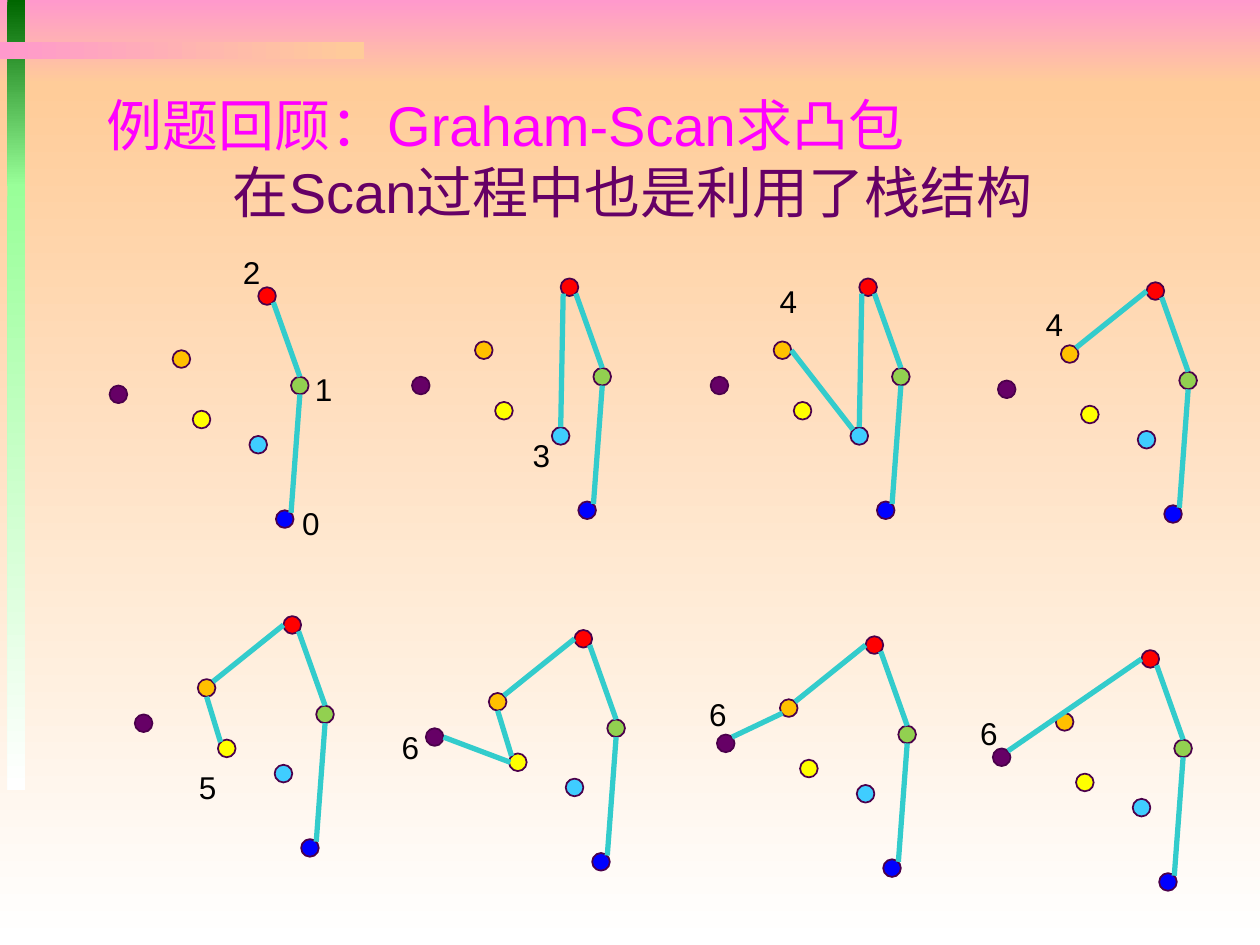
from lxml import etree
from pptx import Presentation
from pptx import util as u
from pptx.dml.color import RGBColor
from pptx.enum import shapes, text
from pptx.oxml.ns import qn

COLORS = {
    "pink": "FF99CC", "peach": "FFCC99", "white": "FFFFFF",
    "forest": "006600", "mint": "99FF99", "magenta": "FF00FF",
    "red": "FF0000", "green": "92D050", "purple": "660066",
    "cyan": "3FCDFF", "blue": "0000FF", "yellow": "FFFF00",
    "orange": "FFC000", "outline": "4B004B", "edge": "33CCCC",
    "black": "000000",
}


def rgb(name):
    return RGBColor.from_string(COLORS[name])


def write(para, content, size=18, color="black"):
    span = para.add_run()
    span.text = content
    span.font.name = "Arial"
    span.font.size = u.Pt(size)
    span.font.color.rgb = rgb(color)


deck = Presentation()
deck.slide_width, deck.slide_height = u.Inches(10), u.Inches(7.5)
page = deck.slides.add_slide(deck.slide_layouts[6])

bands = [
    (0, 0, 10, 0.67, "pink", "peach", 270),
    (0, 0.67, 10, 6.83, "peach", "white", 270),
    (0.06, 0, 0.14, 1.48, "forest", "mint", 270),
    (0.06, 1.46, 0.14, 4.81, "mint", "white", 270),
    (0, 0.33, 2.89, 0.14, "pink", "peach", 0),
]
for left, top, width, height, start, end, angle in bands:
    band = page.shapes.add_shape(
        shapes.MSO_SHAPE.RECTANGLE,
        u.Inches(left), u.Inches(top), u.Inches(width), u.Inches(height))
    band.shadow.inherit = False
    band.line.fill.background()
    band.fill.gradient()
    band.fill.gradient_angle = angle
    for stop, color, position in zip(band.fill.gradient_stops, (start, end), (0, 1)):
        stop.color.rgb = rgb(color)
        stop.position = position

title = page.shapes.add_textbox(u.Inches(0.75), u.Inches(0.67), u.Inches(8.5), u.Inches(6))
title.text_frame.word_wrap = True
title.text_frame.margin_top = u.Inches(0.05)
write(title.text_frame.paragraphs[0], "例题回顾：Graham-Scan求凸包", size=32, color="magenta")
subtitle = title.text_frame.add_paragraph()
write(subtitle, "\t在Scan过程中也是利用了栈结构", size=32, color="purple")
tabs = etree.SubElement(subtitle._p.get_or_add_pPr(), qn("a:tabLst"))
etree.SubElement(tabs, qn("a:tab"), pos=str(u.Inches(1)), algn="l")

DOT = 0.14
dots = {
    "red": (0, 0), "green": (0.26, 0.71), "purple": (-1.18, 0.78),
    "cyan": (-0.07, 1.18), "blue": (0.14, 1.77),
    "yellow": (-0.52, 0.98), "orange": (-0.68, 0.5),
}
edges = {
    "blue-green": (0.26, 1.79, 0.33, 0.85),
    "green-red": (0.33, 0.71, 0.12, 0.12),
    "cyan-red": (0, 1.18, 0.02, 0.12),
    "cyan-orange": (-0.05, 1.2, -0.54, 0.57),
    "orange-red": (-0.56, 0.52, 0, 0.07),
    "orange-yellow": (-0.61, 0.64, -0.5, 1),
    "purple-yellow": (-1.04, 0.85, -0.51, 1.05),
    "purple-orange": (-1.06, 0.8, -0.66, 0.61),
    "purple-red": (-1.06, 0.8, 0, 0.07),
}
steps = [
    (2.05, 2.28, [], [("0", 2.3, 3.95), ("1", 2.4, 2.89), ("2", 1.83, 1.96)]),
    (4.45, 2.21, ["cyan-red"], [("3", 4.13, 3.41)]),
    (6.82, 2.21, ["cyan-red", "cyan-orange"], [("4", 6.09, 2.19)]),
    (9.1, 2.24, ["orange-red"], [("4", 8.2, 2.37)]),
    (2.25, 4.89, ["orange-red", "orange-yellow"], [("5", 1.48, 6.05)]),
    (4.56, 5, ["orange-red", "orange-yellow", "purple-yellow"], [("6", 3.09, 5.73)]),
    (6.87, 5.05, ["orange-red", "purple-orange"], [("6", 5.53, 5.47)]),
    (9.06, 5.16, ["purple-red"], [("6", 7.68, 5.62)]),
]
for left, top, added, labels in steps:
    for color, (dx, dy) in dots.items():
        dot = page.shapes.add_shape(
            shapes.MSO_SHAPE.OVAL,
            u.Inches(left + dx), u.Inches(top + dy), u.Inches(DOT), u.Inches(DOT))
        dot.shadow.inherit = False
        dot.fill.solid()
        dot.fill.fore_color.rgb = rgb(color)
        dot.line.color.rgb = rgb("outline")
        dot.line.width = u.Pt(1)

    for name in ["blue-green", "green-red"] + added:
        x1, y1, x2, y2 = edges[name]
        edge = page.shapes.add_connector(
            shapes.MSO_CONNECTOR.STRAIGHT,
            u.Inches(left + x1), u.Inches(top + y1),
            u.Inches(left + x2), u.Inches(top + y2))
        edge.line.color.rgb = rgb("edge")
        edge.line.width = u.Pt(3)
        etree.SubElement(edge._element.spPr, qn("a:effectLst"))

    for number, x, y in labels:
        box = page.shapes.add_textbox(u.Inches(x), u.Inches(y), u.Inches(0.6), u.Inches(0.4))
        box.text_frame.word_wrap = True
        box.text_frame.auto_size = text.MSO_AUTO_SIZE.SHAPE_TO_FIT_TEXT
        write(box.text_frame.paragraphs[0], number)

deck.save("out.pptx")
